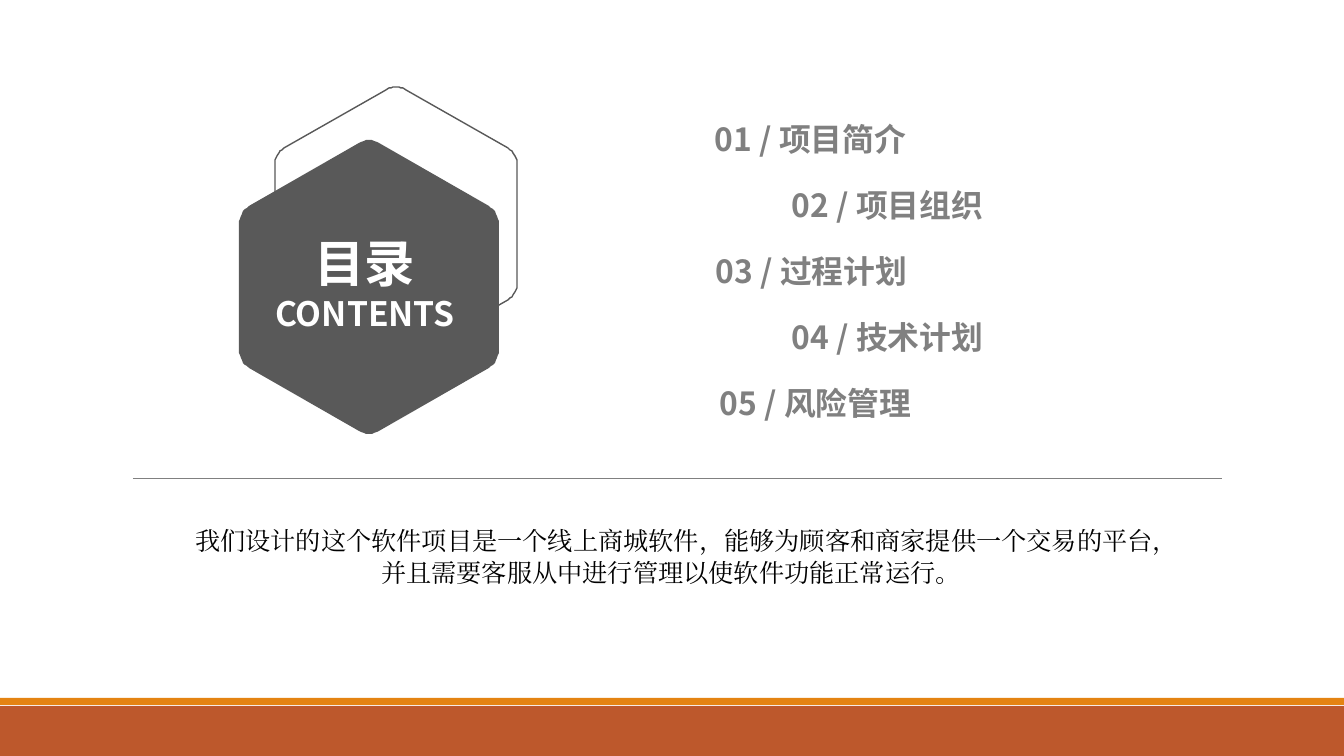
"""Build a contents slide with a hexagon title, five numbered topics and a summary."""
import math

from pptx import Presentation, util as u
from pptx.dml.color import RGBColor
from pptx.enum import shapes, text
from pptx.oxml.ns import qn

PX = 914400 / 100.8
RUST = RGBColor(0xBD, 0x58, 0x2C)
ORANGE = RGBColor(0xE4, 0x83, 0x12)
CHARCOAL = RGBColor(0x59, 0x59, 0x59)
GREY = RGBColor(0x80, 0x80, 0x80)
WHITE = RGBColor(0xFF, 0xFF, 0xFF)
BLACK = RGBColor(0, 0, 0)
SANS = "Noto Sans CJK SC"
SERIF = "Times New Roman"
TOPICS = [
    ("01 / 项目简介", 705, 437),
    ("02 / 项目组织", 782, 360),
    ("03 / 过程计划", 706, 400),
    ("04 / 技术计划", 782, 381),
    ("05 / 风险管理", 710, 400),
]
SUMMARY = ("我们设计的这个软件项目是一个线上商城软件，能够为顾客和商家提供一个交易的平台，"
           "并且需要客服从中进行管理以使软件功能正常运行。")


def px(value):
    """Turn pixels into EMU."""
    return u.Emu(round(value * PX))


def place(shape, left, top, width, height):
    """Move and size a shape in pixels."""
    shape.left, shape.top = px(left), px(top)
    shape.width, shape.height = px(width), px(height)


def style(para, size, color, font, bold):
    """Format every run of a paragraph, for Latin and East Asian text."""
    for span in para.runs:
        span.font.size, span.font.bold = u.Pt(size), bold
        span.font.name = font
        span.font.color.rgb = color
        east_asian = span.font._element.makeelement(qn("a:ea"), {"typeface": font})
        span.font._element.find(qn("a:latin")).addnext(east_asian)


def add_bar(page, top, height, color):
    """Add a full-width band."""
    bar = page.shapes.add_shape(
        shapes.MSO_SHAPE.RECTANGLE, 0, px(top), px(1344), px(height))
    bar.shadow.inherit = False
    bar.fill.solid()
    bar.fill.fore_color.rgb = color
    bar.line.fill.background()


def add_rule(page, left, right, y):
    """Add a thin horizontal line."""
    rule = page.shapes.add_connector(
        shapes.MSO_CONNECTOR.STRAIGHT, px(left), px(y), px(right), px(y))
    rule.line.color.rgb = GREY
    rule.line.width = u.Pt(0.5)
    properties = rule._element.spPr
    properties.append(properties.makeelement(qn("a:effectLst"), {}))


def rounded_hexagon(x, y, radius, cut=0.08, ease=0.6, steps=8):
    """Return the outline points of an upright hexagon with rounded corners."""
    corners = [(x + radius * math.sin(math.pi * i / 3), y - radius * math.cos(math.pi * i / 3))
               for i in range(6)]

    def toward(start, end, share):
        return tuple(a + (b - a) * share for a, b in zip(start, end))

    points = []
    for i, corner in enumerate(corners):
        first = toward(corner, corners[i - 1], cut)
        last = toward(corner, corners[(i + 1) % 6], cut)
        curve = (first, toward(first, corner, ease), toward(last, corner, ease), last)
        for step in range(steps + 1):
            t = step / steps
            weights = [math.comb(3, k) * t ** k * (1 - t) ** (3 - k) for k in range(4)]
            points.append(tuple(sum(w * p[axis] for w, p in zip(weights, curve))
                                for axis in (0, 1)))
    return points


def add_hexagon(page, x, y, radius, filled):
    """Add a filled or outlined hexagon around a centre."""
    first, *rest = rounded_hexagon(x, y, radius)
    builder = page.shapes.build_freeform(*first, scale=PX)
    builder.add_line_segments(rest, close=True)
    hexagon = builder.convert_to_shape()
    hexagon.shadow.inherit = False
    if filled:
        hexagon.fill.solid()
        hexagon.fill.fore_color.rgb = CHARCOAL
        hexagon.line.fill.background()
    else:
        hexagon.fill.background()
        hexagon.line.color.rgb = CHARCOAL
        hexagon.line.width = u.Pt(1)


def add_topic(page, label, left, top, width):
    """Add one numbered topic."""
    box = page.shapes.add_textbox(px(left), px(top), px(width), px(48))
    box.text_frame.word_wrap = True
    para = box.text_frame.paragraphs[0]
    para.text = label
    style(para, 22.7, GREY, SANS, True)


def fill_title(title):
    """Set the two-line title over the filled hexagon."""
    place(title, 243, 227, 244, 112)
    title.element.getparent().append(title.element)
    frame = title.text_frame
    frame.text = "目录\nCONTENTS"
    frame.auto_size = text.MSO_AUTO_SIZE.NONE
    frame.vertical_anchor = text.MSO_ANCHOR.TOP
    for para, size in zip(frame.paragraphs, (36, 24)):
        para.alignment = text.PP_ALIGN.CENTER
        style(para, size, WHITE, SANS, True)


def fill_summary(body):
    """Set the centred summary without a bullet."""
    place(body, 143, 518, 1056, 73)
    frame = body.text_frame
    frame.text = SUMMARY
    frame.auto_size = text.MSO_AUTO_SIZE.NONE
    para = frame.paragraphs[0]
    para.alignment = text.PP_ALIGN.CENTER
    para.line_spacing = 1.07
    para.space_before, para.space_after = u.Pt(0), u.Pt(8)
    properties = para._p.get_or_add_pPr()
    properties.set("marL", "0")
    properties.set("indent", str(px(31)))
    properties.append(properties.makeelement(qn("a:buNone"), {}))
    style(para, 18, BLACK, SERIF, False)


def main():
    """Build and save the deck."""
    deck = Presentation()
    deck.slide_width, deck.slide_height = px(1344), px(756)
    page = deck.slides.add_slide(deck.slide_layouts[1])
    add_bar(page, 706, 50, RUST)
    add_bar(page, 698, 7, ORANGE)
    add_rule(page, 133, 1222, 478)
    add_hexagon(page, 396, 224, 140, filled=False)
    add_hexagon(page, 369, 287, 150, filled=True)
    for row, (label, left, width) in enumerate(TOPICS):
        add_topic(page, label, left, 115 + 66 * row, width)
    fill_title(page.shapes.title)
    fill_summary(page.placeholders[1])
    deck.save("out.pptx")


if __name__ == "__main__":
    main()
